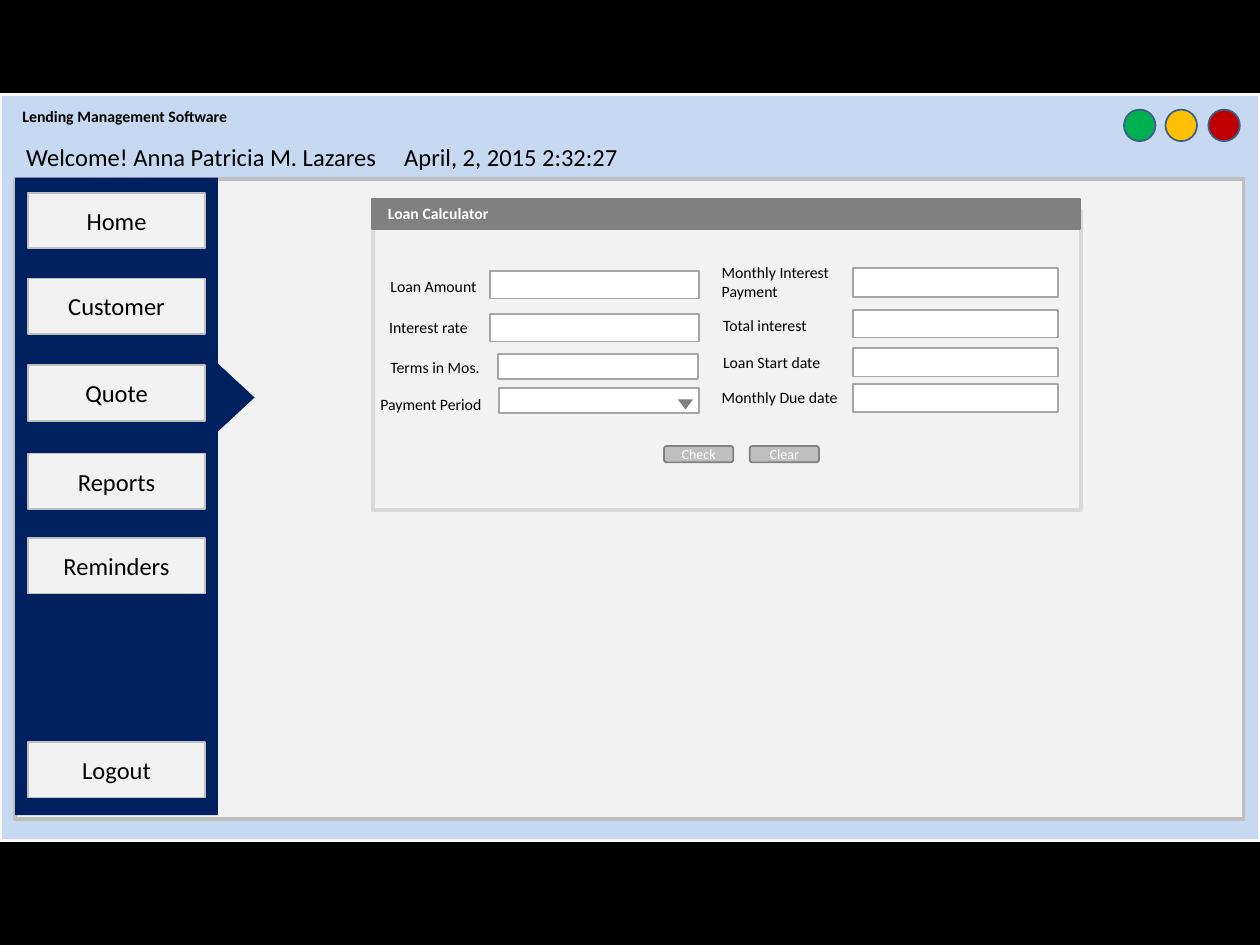
from pptx import Presentation
from pptx.dml.color import RGBColor
from pptx.enum import shapes, text
from pptx.util import Inches, Pt

FONT = "Calibri"
BLACK, WHITE, NAVY = "000000", "FFFFFF", "002060"
PANEL, SILVER, GRAY = "F2F2F2", "BFBFBF", "808080"
KIND = shapes.MSO_SHAPE

WINDOW_BUTTONS = [(9.59, "C00000"), (9.25, "FFC000"), (8.92, "00B050")]

# label, label left and top, label width, field left, top, width and height
FIELDS = [
    ("Loan Amount", 3, 2.15, 0.89, (3.89, 2.15, 1.66, 0.22)),
    ("Interest rate", 2.99, 2.47, 0.84, (3.89, 2.49, 1.66, 0.22)),
    ("Terms in Mos.", 3, 2.79, 0.93, (3.95, 2.81, 1.59, 0.2)),
    ("Payment Period", 2.92, 3.08, 1.02, (3.96, 3.08, 1.59, 0.2)),
    ("Monthly Interest\nPayment", 5.63, 2.04, 1.1, (6.77, 2.13, 1.63, 0.23)),
    ("Total interest", 5.64, 2.46, 0.89, (6.77, 2.46, 1.63, 0.22)),
    ("Loan Start date", 5.64, 2.75, 0.98, (6.77, 2.76, 1.63, 0.23)),
    ("Monthly Due date", 5.63, 3.03, 1.13, (6.77, 3.05, 1.63, 0.22)),
]
MENU = [("Home", 1.53), ("Customer", 2.21), ("Quote", 2.9),
        ("Reports", 3.6), ("Reminders", 4.27), ("Logout", 5.89)]
ACTIONS = [("Check", 5.27), ("Clear", 5.95)]

deck = Presentation()
deck.slide_width, deck.slide_height = Inches(10), Inches(7.5)
page = deck.slides.add_slide(deck.slide_layouts[6])


def paint(fill, color):
    fill.solid()
    fill.fore_color.rgb = RGBColor.from_string(color)


def write(frame, words, size, color, align, bold=False):
    for number, line in enumerate(words.split("\n")):
        para = frame.paragraphs[0] if number == 0 else frame.add_paragraph()
        para.alignment = align
        span = para.add_run()
        span.text = line
        look = {"name": FONT, "size": Pt(size), "bold": bold}
        for key, value in look.items():
            setattr(span.font, key, value)
        span.font.color.rgb = RGBColor.from_string(color)


def add_box(at, fill, line=None, width=1, kind=KIND.RECTANGLE, turn=0):
    box = page.shapes.add_shape(kind, *map(Inches, at))
    box.shadow.inherit = False
    box.rotation = turn
    paint(box.fill, fill)
    if line:
        paint(box.line.fill, line)
        box.line.width = Pt(width)
    else:
        box.line.fill.background()
    return box


def add_button(words, at, fill, line, size, color, kind=KIND.RECTANGLE):
    frame = add_box(at, fill, line, kind=kind).text_frame
    settings = {"margin_left": 0, "margin_right": 0, "margin_top": 0,
                "margin_bottom": 0, "vertical_anchor": text.MSO_ANCHOR.MIDDLE}
    for key, value in settings.items():
        setattr(frame, key, value)
    write(frame, words, size, color, text.PP_ALIGN.CENTER)


def add_label(words, at, size=9, color=BLACK, bold=False, wrap=False):
    frame = page.shapes.add_textbox(*map(Inches, at)).text_frame
    frame.word_wrap = wrap
    frame.auto_size = text.MSO_AUTO_SIZE.SHAPE_TO_FIT_TEXT
    write(frame, words, size, color, text.PP_ALIGN.LEFT, bold)


paint(page.background.fill, BLACK)

# Application window
add_box((0, 0.75, 10, 5.92), "C6D9F1", "FCFBF9", 2)
for left, color in WINDOW_BUTTONS:
    add_box((left, 0.87, 0.25, 0.25), color, "3A5F8C", kind=KIND.OVAL)
add_label("Lending Management Software", (0.08, 0.8, 1.86, 0.25), bold=True)
add_box((0.12, 1.42, 9.75, 5.08), PANEL, SILVER, 2)

# Loan calculator
add_box((2.96, 1.67, 5.62, 2.38), PANEL, "D9D9D9", 2)
add_box((2.95, 1.58, 5.62, 0.24), GRAY, GRAY)
add_label("Loan Calculator", (2.98, 1.57, 1.02, 0.25), color=WHITE, bold=True)
for words, left, top, width, field in FIELDS:
    add_box(field, WHITE, "A6A6A6")
    height = 0.4 if "\n" in words else 0.25
    add_label(words, (left, top, width, height))

# Side menu, with a pointer at the open page
add_box((0.12, 1.41, 1.61, 5.06), NAVY)
add_box((1.52, 2.98, 0.65, 0.35), NAVY, kind=KIND.ISOSCELES_TRIANGLE, turn=90)
for words, top in MENU:
    add_button(words, (0.22, top, 1.41, 0.44), PANEL, SILVER, 14, BLACK)

add_label("Welcome! Anna Patricia M. Lazares\tApril, 2, 2015 2:32:27",
          (0.11, 1.08, 5.25, 0.34), size=14, wrap=True)
for words, left in ACTIONS:
    add_button(words, (left, 3.54, 0.55, 0.13), SILVER, GRAY, 8, WHITE,
               KIND.ROUNDED_RECTANGLE)
add_box((5.38, 3.17, 0.12, 0.08), GRAY, kind=KIND.ISOSCELES_TRIANGLE, turn=180)

deck.save("out.pptx")
